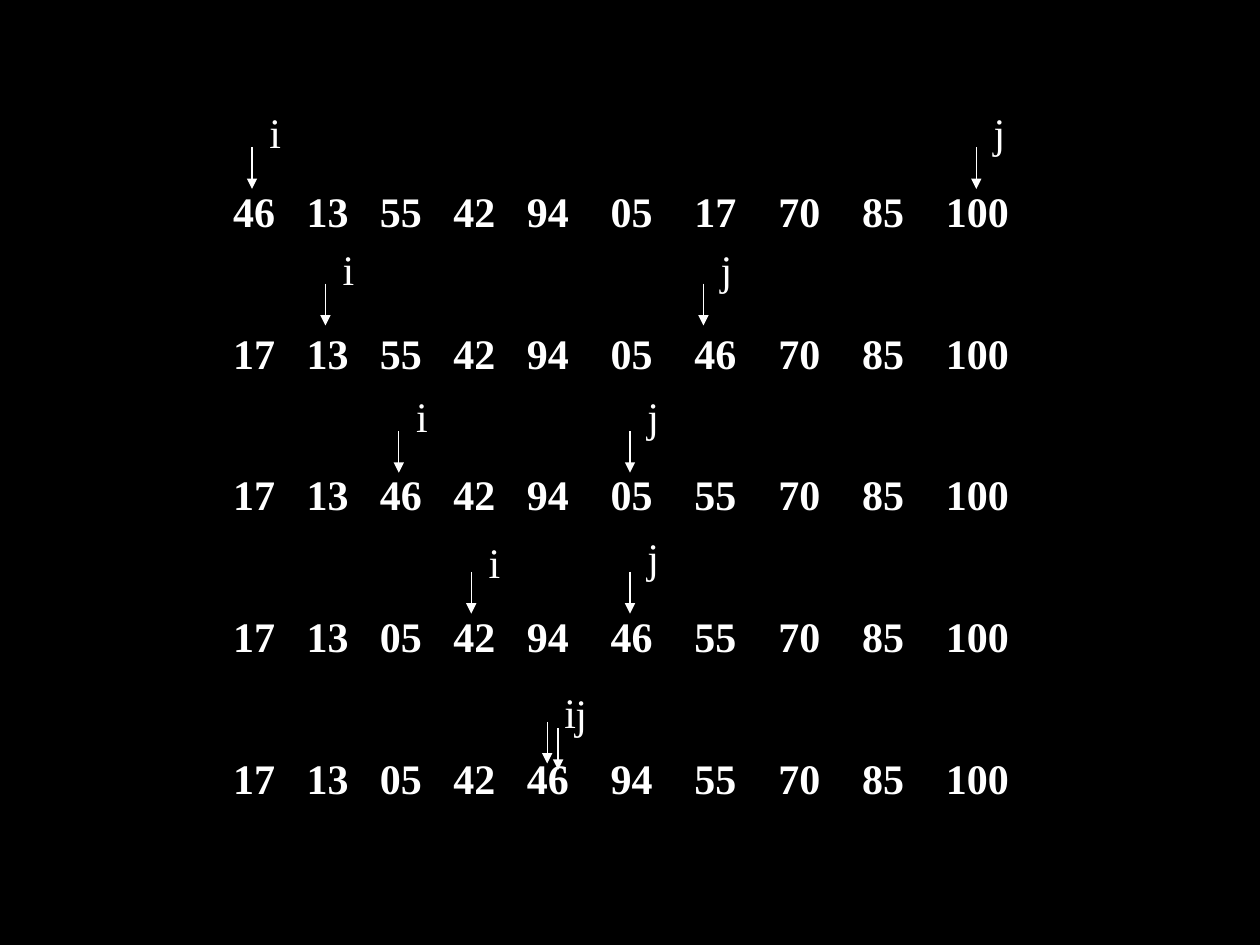
from lxml.etree import SubElement
from pptx import Presentation
from pptx.dml.color import RGBColor
from pptx.enum.shapes import MSO_CONNECTOR
from pptx.enum.text import MSO_AUTO_SIZE
from pptx.oxml.ns import qn
from pptx.util import Cm, Pt

COLORS = {"background": "000000", "ink": "FFFFFF"}
LABEL_FONT = {"name": "Times New Roman", "size": Pt(24), "bold": False}
NUMBER_FONT = {**LABEL_FONT, "bold": True}

ROWS = [
    "46 13 55 42 94 05 17 70 85 100",
    "17 13 55 42 94 05 46 70 85 100",
    "17 13 46 42 94 05 55 70 85 100",
    "17 13 05 42 94 46 55 70 85 100",
    "17 13 05 42 46 94 55 70 85 100",
]
ROW_LEFT, ROW_TOP, ROW_PITCH = 4.45, 3.61, 2.86
ROW_WIDTH, TEXT_HEIGHT = 16.15, 1.27

# The first columns are narrower than the later ones
NARROW_STEP, NARROW_COUNT, WIDE_STEP = 1.48, 4, 1.69
TAB_STOPS = [
    min(n, NARROW_COUNT) * NARROW_STEP + max(n - NARROW_COUNT, 0) * WIDE_STEP
    for n in range(1, 10)
]

# Label, arrow x, arrow top, rise of the label above the arrow top
MARKERS = [
    ("i", 5.08, 2.97, 0.94),
    ("j", 19.68, 2.97, 0.94),
    ("i", 6.56, 5.72, 0.94),
    ("j", 14.18, 5.72, 0.94),
    ("i", 8.04, 8.69, 0.94),
    ("j", 12.7, 8.69, 0.94),
    ("j", 12.7, 11.53, 0.94),
    ("i", 9.5, 11.53, 0.84),
    ("i", 11.03, 14.55, 0.84),
    ("j", 11.25, 14.68, 0.94),
]
ARROW_LENGTH, LABEL_GAP, LABEL_WIDTH = 0.84, 0.1, 0.74


def color(name):
    return RGBColor.from_string(COLORS[name])


def add_text(shapes, text, left, top, width, font, wrap):
    sp = shapes.add_textbox(Cm(left), Cm(top), Cm(width), Cm(TEXT_HEIGHT))
    tf = sp.text_frame
    tf.word_wrap = wrap
    tf.auto_size = MSO_AUTO_SIZE.SHAPE_TO_FIT_TEXT
    p = tf.paragraphs[0]
    r = p.add_run()
    r.text = text
    for key, value in font.items():
        setattr(r.font, key, value)
    r.font.color.rgb = color("ink")
    return p


def add_number_row(s, numbers, top):
    """One state of the array, its columns held by tab stops."""
    p = add_text(s.shapes, "\t".join(numbers.split()), ROW_LEFT, top,
                 ROW_WIDTH, NUMBER_FONT, True)
    tabs = SubElement(p._p.get_or_add_pPr(), qn("a:tabLst"))
    for stop in TAB_STOPS:
        SubElement(tabs, qn("a:tab"), pos=str(Cm(stop)), algn="l")


def add_arrow(shapes, x, top):
    line = shapes.add_connector(MSO_CONNECTOR.STRAIGHT, Cm(x), Cm(top),
                                Cm(x), Cm(top + ARROW_LENGTH))
    line.line.color.rgb = color("ink")
    line.line.width = Pt(0.75)
    SubElement(line.line._get_or_add_ln(), qn("a:tailEnd"), type="triangle")
    SubElement(line._element.spPr, qn("a:effectLst"))


def add_marker(s, label, x, top, rise):
    """A labelled index arrow, grouped."""
    shapes = s.shapes.add_group_shape().shapes
    add_text(shapes, label, x + LABEL_GAP, top - rise, LABEL_WIDTH,
             LABEL_FONT, False)
    add_arrow(shapes, x, top)


def main():
    prs = Presentation()
    prs.slide_width, prs.slide_height = Cm(25.4), Cm(19.05)
    s = prs.slides.add_slide(prs.slide_layouts[6])
    s.background.fill.solid()
    s.background.fill.fore_color.rgb = color("background")
    for n, numbers in enumerate(ROWS):
        add_number_row(s, numbers, ROW_TOP + n * ROW_PITCH)
    for marker in MARKERS:
        add_marker(s, *marker)
    prs.save("out.pptx")


if __name__ == "__main__":
    main()
